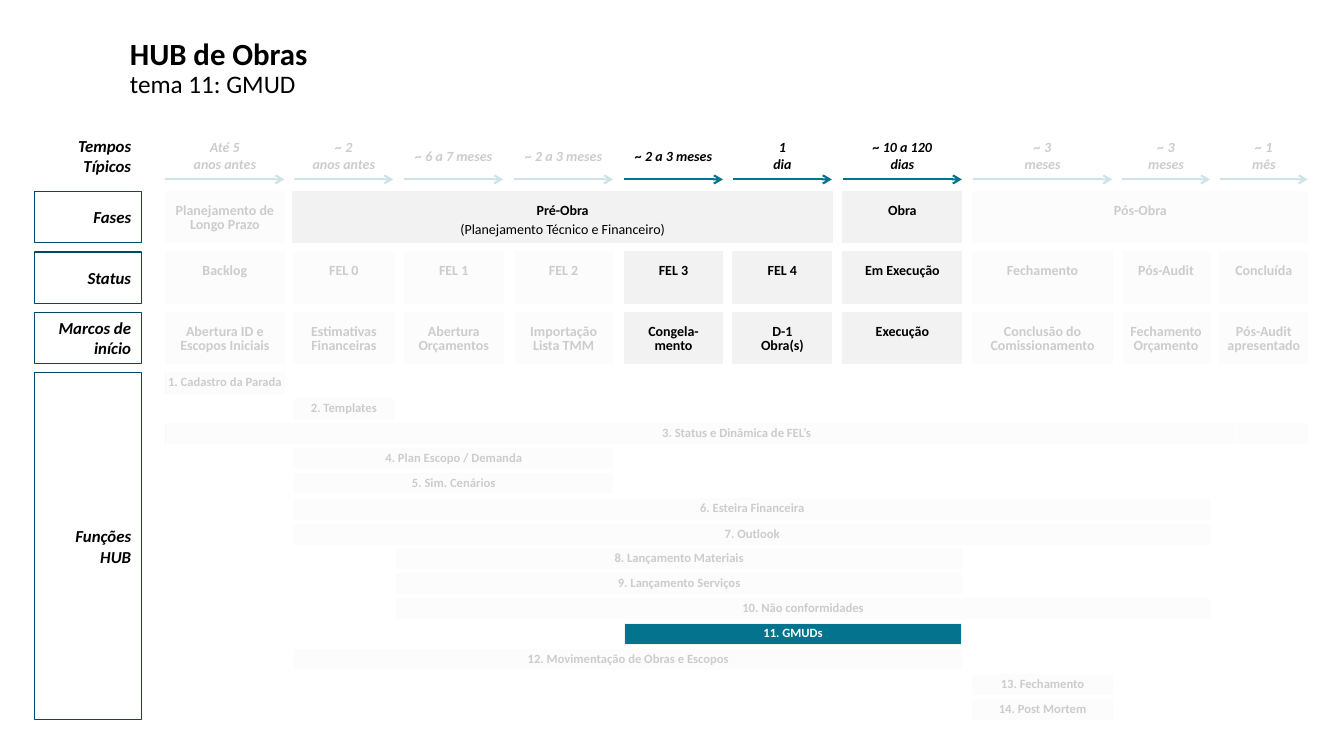
from lxml.etree import SubElement
from pptx import Presentation
from pptx.dml.color import RGBColor
from pptx.enum.shapes import MSO_CONNECTOR, MSO_SHAPE
from pptx.enum.text import MSO_ANCHOR, PP_ALIGN
from pptx.oxml.ns import qn
from pptx.util import Pt

PIXEL = 9144
BLACK = RGBColor(0x00, 0x00, 0x00)
WHITE = RGBColor(0xFF, 0xFF, 0xFF)
GRAY = RGBColor(0xF2, 0xF2, 0xF2)
TEAL = RGBColor(0x03, 0x73, 0x8E)
NAVY = RGBColor(0x01, 0x4A, 0x65)

ROW_HEIGHT = 51
TIME_TOP, PHASE_TOP, STATUS_TOP, MILESTONE_TOP, FUNCTION_TOP = 129, 190, 250, 310, 370
ARROW_TOP = 178

presentation = Presentation()
presentation.slide_width = 1333 * PIXEL
presentation.slide_height = 750 * PIXEL
slide = presentation.slides.add_slide(presentation.slide_layouts[6])


def add_box(left, top, width, height, fill=None, line=None, alpha=None):
    shape = slide.shapes.add_shape(
        MSO_SHAPE.RECTANGLE, left * PIXEL, top * PIXEL, width * PIXEL, height * PIXEL)
    shape.shadow.inherit = False
    if fill is None:
        shape.fill.background()
    else:
        shape.fill.solid()
        shape.fill.fore_color.rgb = fill
    if alpha is not None:
        color = shape.fill._xPr.find(qn("a:solidFill"))[0]
        SubElement(color, qn("a:alpha")).set("val", str(alpha * 1000))
    if line is None:
        shape.line.fill.background()
    else:
        shape.line.color.rgb = line
        shape.line.width = Pt(0.75)
    return shape


def write(shape, text, size, insets=(10, 5, 10, 5), align=PP_ALIGN.CENTER, color=BLACK,
          italic=False, spacing=None, anchor=MSO_ANCHOR.MIDDLE):
    frame = shape.text_frame
    frame.text = text
    frame.word_wrap = True
    frame.vertical_anchor = anchor
    (frame.margin_left, frame.margin_top,
     frame.margin_right, frame.margin_bottom) = [inset * PIXEL for inset in insets]
    for paragraph in frame.paragraphs:
        paragraph.alignment = align
        paragraph.line_spacing = spacing
        for run in paragraph.runs:
            run.font.name = "Calibri"
            run.font.size = Pt(size)
            run.font.bold = True
            run.font.italic = italic
            run.font.color.rgb = color
    return frame


title = slide.shapes.add_textbox(119 * PIXEL, 33 * PIXEL, 1147 * PIXEL, 71 * PIXEL)
title_frame = write(title, "HUB de Obras\vtema 11: GMUD", 22, align=PP_ALIGN.LEFT, spacing=0.9)
subtitle_run = title_frame.paragraphs[0].runs[1]
subtitle_run.font.size = Pt(18)
subtitle_run.font.bold = False

row_labels = [
    ("Tempos Típicos", TIME_TOP, ROW_HEIGHT, None),
    ("Fases", PHASE_TOP, ROW_HEIGHT, NAVY),
    ("Status", STATUS_TOP, ROW_HEIGHT, NAVY),
    ("Marcos de início", MILESTONE_TOP, ROW_HEIGHT, NAVY),
    ("Funções HUB", FUNCTION_TOP, 344, NAVY),
]
for label, top, height, outline in row_labels:
    label_box = add_box(34, top, 106, height, line=outline)
    write(label_box, label, 12, align=PP_ALIGN.RIGHT, italic=True)

functions = [
    ("1. Cadastro da Parada", 164, 282),
    ("2. Templates", 292, 390),
    ("3. Status e Dinâmica de FEL’s", 164, 1297),
    ("4. Plan Escopo / Demanda", 292, 608),
    ("5. Sim. Cenários", 292, 608),
    ("6. Esteira Financeira", 292, 1200),
    ("7. Outlook", 292, 1200),
    ("8. Lançamento Materiais", 393, 954),
    ("9. Lançamento Serviços", 393, 954),
    ("10. Não conformidades", 393, 1200),
    ("11. GMUDs", 619, 954),
    ("12. Movimentação de Obras e Escopos", 292, 954),
    ("13. Fechamento", 965, 1103),
    ("14. Post Mortem", 965, 1103),
]
phases = [
    ("Planejamento de Longo Prazo", 164, 118, False),
    ("Pré-Obra\n(Planejamento Técnico e Financeiro)", 290, 536, True),
    ("Obra", 836, 118, True),
    ("Pós-Obra", 965, 332, False),
]
stages = [
    (164, 118, "Até 5\nanos antes", "Backlog", "Abertura ID e Escopos Iniciais", False),
    (292, 98, "~ 2\nanos antes", "FEL 0", "Estimativas Financeiras", False),
    (401, 98, "~ 6 a 7 meses", "FEL 1", "Abertura Orçamentos", False),
    (510, 98, "~ 2 a 3 meses", "FEL 2", "Importação Lista TMM", False),
    (619, 98, "~ 2 a 3 meses", "FEL 3", "Congela-mento", True),
    (727, 98, "1\ndia", "FEL 4", "D-1\vObra(s)", True),
    (836, 118, "~ 10 a 120\ndias", "Em Execução", "Execução", True),
    (965, 138, "~ 3\nmeses", "Fechamento", "Conclusão do Comissionamento", False),
    (1113, 87, "~ 3\nmeses", "Pós-Audit", "Fechamento Orçamento", False),
    (1210, 87, "~ 1\nmês", "Concluída", "Pós-Audit apresentado", False),
]
function_veils = [(164, 369, 1062, 362), (1225, 369, 108, 97)]
stage_veil = (160, 111, 1173, 252)

for highlighted in (False, True):
    for index, (name, left, right) in enumerate(functions):
        if (name == "11. GMUDs") == highlighted:
            top = FUNCTION_TOP + round(index * 24.92)
            bar = add_box(left, top, right - left, 20, TEAL if highlighted else GRAY, GRAY)
            write(bar, name, 9, (0, 0, 0, 0), color=WHITE if highlighted else BLACK, spacing=0.85)

    cells = [(name, left, PHASE_TOP, width, 10)
             for name, left, width, active in phases if active == highlighted]
    for left, width, time, status, milestone, active in stages:
        if active != highlighted:
            continue
        cells.append((status, left, STATUS_TOP, width, 10))
        cells.append((milestone, left, MILESTONE_TOP, width, 4 if left >= 836 else 10))
        write(add_box(left, TIME_TOP, width, ROW_HEIGHT), time, 10, italic=True)
        arrow = slide.shapes.add_connector(
            MSO_CONNECTOR.STRAIGHT, left * PIXEL, ARROW_TOP * PIXEL,
            (left + width) * PIXEL, ARROW_TOP * PIXEL)
        arrow.line.color.rgb = TEAL
        arrow.line.width = Pt(1.5)
        SubElement(arrow.line._get_or_add_ln(), qn("a:tailEnd")).set("type", "arrow")
        SubElement(arrow._element.spPr, qn("a:effectLst"))

    for text, left, top, width, side in cells:
        cell = add_box(left, top, width, ROW_HEIGHT, GRAY, GRAY)
        cell_frame = write(cell, text, 10, (side, 12, side, 5), spacing=0.85, anchor=MSO_ANCHOR.TOP)
        for paragraph in cell_frame.paragraphs[1:]:
            paragraph.space_before = Pt(4)
            paragraph.runs[0].font.bold = False

    if not highlighted:
        for veil in function_veils + [stage_veil]:
            add_box(*veil, fill=WHITE, alpha=80)

presentation.save("out.pptx")
